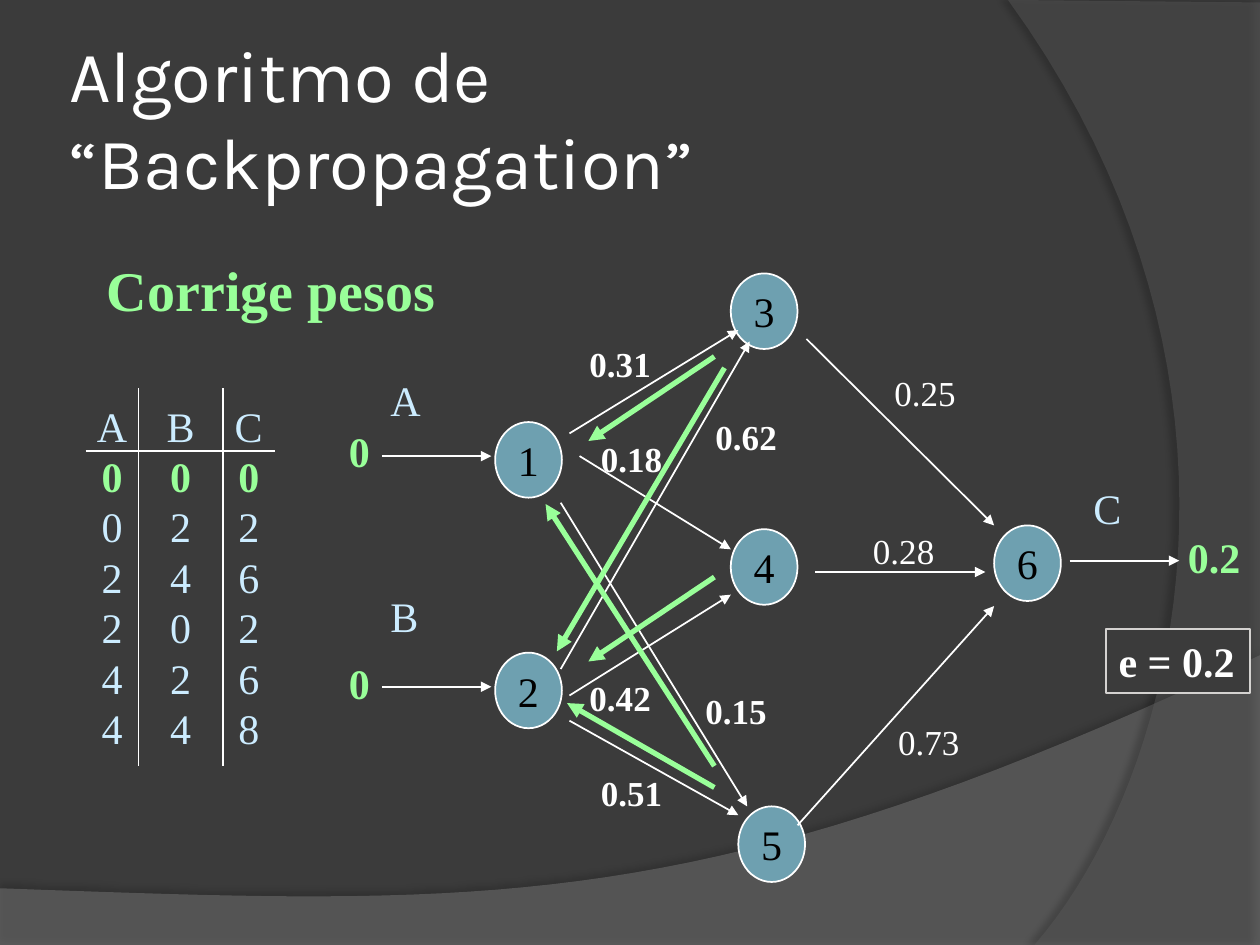
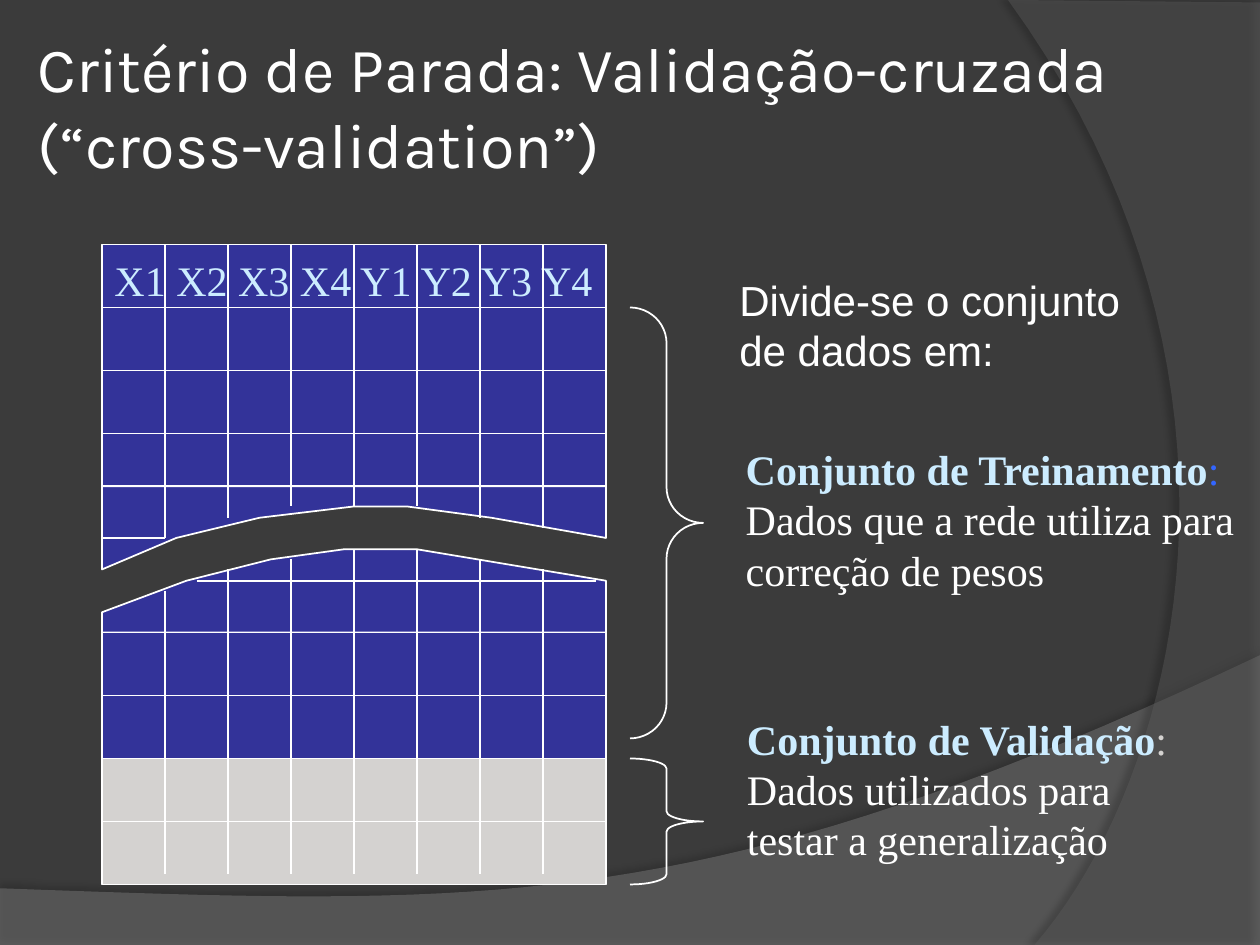
import dataclasses

import lxml.etree
import pptx
import pptx.dml.color
import pptx.enum.shapes
import pptx.enum.text
import pptx.oxml.ns
import pptx.util

SHAPE = pptx.enum.shapes.MSO_SHAPE
ANCHOR = pptx.enum.text.MSO_ANCHOR
ALIGN = pptx.enum.text.PP_ALIGN
qn = pptx.oxml.ns.qn


@dataclasses.dataclass(frozen=True)
class Theme:
    back: str = "3B3B3B"
    white: str = "FFFFFF"
    black: str = "000000"
    pale: str = "CCECFF"
    green: str = "99FF99"
    blue: str = "3366FF"
    navy: str = "333399"
    gray: str = "D4D2D0"
    node: str = "6EA0B0"
    low: str = "7F7F7F"
    side: str = "5E5E5E"
    head: str = "Karla"
    serif: str = "Times New Roman"
    sans: str = "Arial"
    small: float = 20
    body: float = 24
    large: float = 32
    thin: float = 1
    thick: float = 3
    step: float = 2.54


T = Theme()


def cm(steps):
    """Turn grid steps into a length."""
    return pptx.util.Cm(steps * T.step)


def rgb(code):
    return pptx.dml.color.RGBColor.from_string(code)


def sub(parent, tag, **attrs):
    return lxml.etree.SubElement(parent, qn(tag), {k: str(v) for k, v in attrs.items()})


def style(font, color, size=T.body, bold=False, face=T.serif):
    font.name, font.size, font.bold = face, pptx.util.Pt(size), bold
    font.color.rgb = rgb(color)


def paint(shape, fill, line=T.white):
    """Set fill and outline; None means none."""
    shape.shadow.inherit = False
    if fill:
        shape.fill.solid()
        shape.fill.fore_color.rgb = rgb(fill)
    else:
        shape.fill.background()
    if line:
        shape.line.color.rgb = rgb(line)
        shape.line.width = pptx.util.Pt(T.thin)
    else:
        shape.line.fill.background()
    return shape


def form(slide, kind, x, y, w, h, fill, line=T.white):
    return paint(slide.shapes.add_shape(kind, cm(x), cm(y), cm(w), cm(h)), fill, line)


def outline(slide, points, fill, line=T.white):
    first, *rest = [(cm(x), cm(y)) for x, y in points]
    pen = slide.shapes.build_freeform(*first)
    pen.add_line_segments(rest, close=True)
    return paint(pen.convert_to_shape(), fill, line)


def box(slide, x, y, w, h, wrap=True):
    frame = slide.shapes.add_textbox(cm(x), cm(y), cm(w), cm(h)).text_frame
    frame.word_wrap = wrap
    return frame


def label(slide, text, x, y, w, h, color=T.white, wrap=False, **font):
    frame = box(slide, x, y, w, h, wrap)
    frame.text = text
    style(frame.paragraphs[0].font, color, **font)
    return frame


def title(slide, text, x, y, w, size):
    frame = label(slide, text, x, y, w, 1.25, wrap=True, size=size, face=T.head)
    frame.vertical_anchor = ANCHOR.MIDDLE
    frame.margin_left = frame.margin_right = cm(0.05)


def rule(slide, x1, y1, x2, y2, color=T.white, width=T.thin, arrow=False):
    line = slide.shapes.add_connector(
        pptx.enum.shapes.MSO_CONNECTOR.STRAIGHT, cm(x1), cm(y1), cm(x2), cm(y2))
    line.line.color.rgb = rgb(color)
    line.line.width = pptx.util.Pt(width)
    if arrow:
        sub(line.line._get_or_add_ln(), "a:tailEnd", type="triangle")
    sub(line.element.spPr, "a:effectLst")


def node(slide, text, x, y):
    oval = form(slide, SHAPE.OVAL, x, y, 0.53, 0.6, T.node)
    frame = oval.text_frame
    frame.margin_left = frame.margin_right = 0
    frame.word_wrap = False
    frame.text = text
    frame.paragraphs[0].alignment = ALIGN.CENTER
    style(frame.paragraphs[0].font, T.black)


def curve(p0, p1, p2, p3, count=40):
    """Points along a cubic curve."""
    spots = []
    for i in range(count + 1):
        t = i / count
        mix = ((1 - t) ** 3, 3 * t * (1 - t) ** 2, 3 * t * t * (1 - t), t ** 3)
        spots.append(tuple(sum(m * p[axis] for m, p in zip(mix, (p0, p1, p2, p3)))
                           for axis in (0, 1)))
    return spots


def band(slide, layout, points, fill, alpha, shade, dist, angle):
    """Draw a see-through band with a soft shadow and move it to the layout."""
    shape = outline(slide, points, fill, None)
    props = shape.element.spPr
    sub(props.find(".//" + qn("a:srgbClr")), "a:alpha", val=alpha * 1000)
    cast = sub(props.find(qn("a:effectLst")), "a:outerShdw", blurRad=pptx.util.Pt(4),
               dist=pptx.util.Pt(dist), dir=angle * 60000, algn="ctr", rotWithShape=0)
    sub(sub(cast, "a:srgbClr", val=T.black), "a:alpha", val=shade * 1000)
    layout.shapes.element.append(shape.element)


def dress(slide, layout):
    layout.background.fill.solid()
    layout.background.fill.fore_color.rgb = rgb(T.back)
    wave = curve((10, 5.2), (5.59, 7.29), (3.91, 7.19), (0, 7.05))
    band(slide, layout, [(0, 7.51), (10, 7.51)] + wave, T.low, 45, 35, 3.5, 270)
    arc = curve((8.21, 7.5), (9.35, 6.19), (10.18, 3), (8, 0))
    band(slide, layout, [(10, 0.02), (10, 7.5)] + arc, T.side, 40, 45, 4, 180)


def edge(cell, tag):
    line = lxml.etree.Element(qn(tag), w=str(pptx.util.Pt(T.thin)))
    sub(sub(line, "a:solidFill"), "a:srgbClr", val=T.white)
    props = cell.fill._xPr
    props.insert(len(props) - 1, line)


def samples(slide):
    """Table of training samples, ruled inside only."""
    rows = ["ABC", "000", "022", "246", "202", "426", "448"]
    widths = (0.42, 0.67, 0.41)
    heights = [0.5] + [0.4] * 5 + [0.5]
    table = slide.shapes.add_table(len(rows), 3, cm(0.68), cm(3.08),
                                   cm(sum(widths)), cm(sum(heights))).table
    table.first_row = table.horz_banding = False
    plain = "{2D5ABB26-0587-4C30-8999-92F81FD0307C}"
    table._tbl.tblPr.find(qn("a:tableStyleId")).text = plain
    for column, width in zip(table.columns, widths):
        column.width = cm(width)
    for r, (row, height) in enumerate(zip(rows, heights)):
        table.rows[r].height = cm(height)
        for c, text in enumerate(row):
            cell = table.cell(r, c)
            cell.text = text
            cell.margin_left = cell.margin_right = cell.margin_top = 0
            cell.margin_bottom = cm(0.1) if r == len(rows) - 1 else 0
            cell.vertical_anchor = ANCHOR.BOTTOM
            para = cell.text_frame.paragraphs[0]
            para.alignment = ALIGN.CENTER
            style(para.font, T.green if r == 1 else T.pale, bold=r == 1)
            cell.fill.background()
            if c < 2:
                edge(cell, "a:lnR")
            if r == 0:
                edge(cell, "a:lnB")


def network(slide):
    title(slide, "Algoritmo de “Backpropagation”", 0.5, 0.3, 8.17, 41.4)
    samples(slide)
    for text, x, y in [("1", 3.93, 3.35), ("2", 3.93, 5.18), ("3", 5.8, 2.17),
                       ("4", 5.8, 4.2), ("5", 5.86, 6.4), ("6", 7.89, 4.17)]:
        node(slide, text, x, y)
    forward = [
        (3.03, 3.62, 3.9, 3.62), (3.03, 5.45, 3.9, 5.45), (8.49, 4.45, 9.36, 4.45),
        (4.52, 3.44, 5.86, 2.62), (4.6, 3.62, 5.8, 4.36), (4.45, 3.99, 5.93, 6.4),
        (4.45, 5.31, 5.95, 2.71), (4.52, 5.52, 5.8, 4.72), (4.52, 5.72, 5.86, 6.47),
        (6.4, 2.69, 7.89, 4.17), (6.47, 4.54, 7.82, 4.54), (6.33, 6.55, 7.89, 4.81)]
    for ends in forward:
        rule(slide, *ends, arrow=True)
    for text, x, y in [("A", 3, 2.92), ("B", 3, 4.64), ("C", 8.58, 3.78)]:
        label(slide, text, x, y, 0.43, 0.5, T.pale)
    weights = [("0.31", 4.58, 2.67), ("0.18", 4.67, 3.42), ("0.51", 4.67, 6.07),
               ("0.62", 5.58, 3.25), ("0.15", 5.5, 5.42), ("0.42", 4.58, 5.32),
               ("0.25", 7, 2.9), ("0.28", 6.83, 4.15), ("0.73", 7.03, 5.67)]
    for i, (text, x, y) in enumerate(weights):
        label(slide, text, x, y, 0.69, 0.43, size=T.small, bold=i < 6)
    label(slide, "Corrige pesos", 0.75, 1.98, 2.81, 0.63, T.green, size=T.large, bold=True)
    for text, x, y, w in [("0", 2.67, 3.33, 0.37), ("0", 2.67, 5.17, 0.37),
                          ("0.2", 9.33, 4.17, 0.62)]:
        label(slide, text, x, y, w, 0.5, T.green, bold=True)
    error = form(slide, SHAPE.RECTANGLE, 8.78, 4.99, 1.14, 0.51, T.back, T.gray).text_frame
    error.word_wrap = False
    error.text = "e = 0.2"
    error.paragraphs[0].alignment = ALIGN.LEFT
    style(error.paragraphs[0].font, T.white, bold=True)
    for ends in [(5.67, 2.83, 4.67, 3.5), (5.75, 2.92, 4.42, 5.17), (5.67, 4.58, 4.67, 5.25),
                 (5.67, 6.25, 4.5, 5.58), (5.67, 6.08, 4.33, 4)]:
        rule(slide, *ends, color=T.green, width=T.thick, arrow=True)


def torn(slide):
    """Data grid torn in two, with the validation rows in gray."""
    left, right = 0.81, 4.81
    form(slide, SHAPE.RECTANGLE, left, 6.02, 4, 1, T.gray)
    outline(slide, [(left, 3.86), (right, 3.86), (right, 4.27), (3.9, 4.11), (3.23, 4.02),
                    (2.81, 4.02), (2.06, 4.11), (1.4, 4.27), (left, 4.52)], T.navy)
    outline(slide, [(left, 5.02), (right, 5.02), (right, 4.61), (3.31, 4.36), (2.73, 4.36),
                    (2.15, 4.44), (1.48, 4.61), (left, 4.86)], T.navy)
    form(slide, SHAPE.RECTANGLE, left, 1.94, 4, 1.92, T.navy)
    form(slide, SHAPE.RECTANGLE, left, 5.02, 4, 1, T.navy)
    label(slide, "X1 X2 X3 X4 Y1 Y2 Y3 Y4", left, 1.97, 4.08, 0.5, T.pale, wrap=True)
    ends = (4.27, 4.11, 4.02, 4.02, 4.02, 4.11, 4.19)
    starts = (4.69, 4.52, 4.44, 4.36, 4.36, 4.44, 4.52)
    for i, (end, start) in enumerate(zip(ends, starts), 1):
        x = left + i / 2
        rule(slide, x, 1.94, x, end)
        rule(slide, x, start, x, 6.94)
    for y in (2.44, 2.94, 3.44, 5.52, 6.02, 6.52):
        rule(slide, left, y, right, y)
    rule(slide, 1.56, 4.61, 4.73, 4.61)
    rule(slide, left, 4.27, 1.31, 4.27)


def brace(slide, y, h, bend):
    shape = form(slide, SHAPE.RIGHT_BRACE, 5, y, 0.58, h, None)
    shape.adjustments[0] = bend


def term(slide, name, colon, text, x, y, w):
    frame = box(slide, x, y, w, 1.31)
    first, second = frame.paragraphs[0], frame.add_paragraph()
    for part, color, bold in [(name, T.pale, True), (":", colon, False)]:
        run = first.add_run()
        run.text = part
        style(run.font, color, bold=bold)
    second.text = text
    style(second.font, T.white)


def split(slide):
    title(slide, "Critério de Parada: Validação-cruzada\v(“cross-validation”)",
          0.25, 0.21, 9.58, 36)
    torn(slide)
    brace(slide, 2.44, 3.42, 0.49)
    brace(slide, 6.02, 1, 0.14)
    label(slide, "Divide-se o conjunto de dados em:", 5.77, 2.13, 3.46, 0.83,
          wrap=True, face=T.sans)
    term(slide, "Conjunto de Treinamento", T.blue,
         "Dados que a rede utiliza para correção de pesos", 5.82, 3.47, 4.18)
    term(slide, "Conjunto de Validação", T.gray,
         "Dados utilizados para testar a generalização", 5.83, 5.61, 3.66)


def main():
    deck = pptx.Presentation()
    deck.slide_width, deck.slide_height = cm(10), cm(7.5)
    blank = deck.slide_layouts[6]
    first, second = (deck.slides.add_slide(blank) for _ in range(2))
    dress(first, blank)
    network(first)
    split(second)
    deck.save("out.pptx")


if __name__ == "__main__":
    main()
